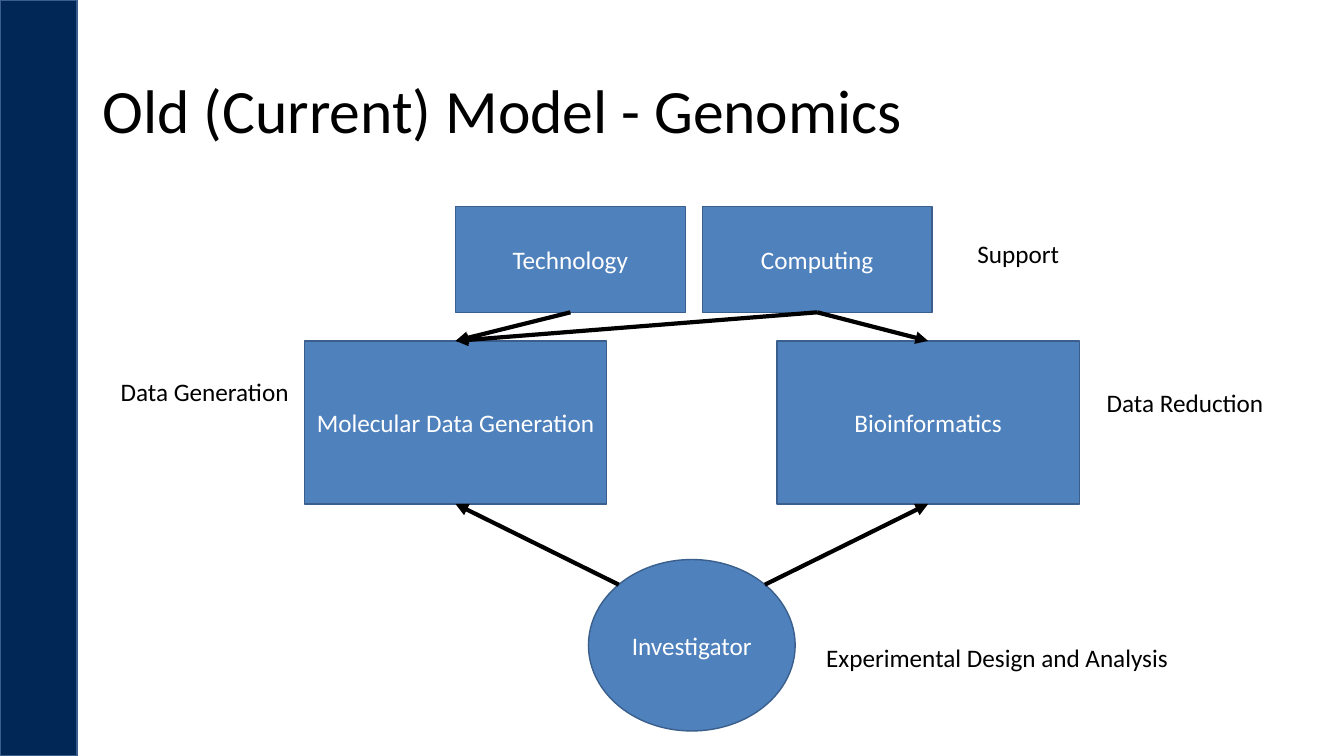
from math import cos, pi, sin

from lxml.etree import SubElement
from pptx import Presentation
from pptx.dml.color import RGBColor
from pptx.enum.shapes import MSO_CONNECTOR, MSO_SHAPE
from pptx.enum.text import MSO_ANCHOR, PP_ALIGN
from pptx.oxml.ns import qn
from pptx.util import Cm, Pt

NAVY = RGBColor(0x00, 0x27, 0x55)
BLUE = RGBColor(0x4F, 0x81, 0xBD)
OUTLINE = RGBColor(0x3A, 0x5F, 0x8C)
BLACK = RGBColor(0x00, 0x00, 0x00)
WHITE = RGBColor(0xFF, 0xFF, 0xFF)

TOP, BOTTOM = 0, 2


class DiagramSlide:
    font_name = "Calibri"
    text_size = 18
    title_size = 44

    def __init__(self, presentation):
        self.slide = presentation.slides.add_slide(presentation.slide_layouts[6])
        self.shapes = self.slide.shapes

    def set_text(self, shape, text, size, color, alignment):
        shape.text_frame.word_wrap = True
        paragraph = shape.text_frame.paragraphs[0]
        paragraph.text = text
        paragraph.alignment = alignment
        paragraph.font.name = self.font_name
        paragraph.font.size = Pt(size)
        paragraph.font.color.rgb = color
        return paragraph

    def node(self, left, top, width, height, text="", fill=BLUE, kind=MSO_SHAPE.RECTANGLE):
        shape = self.shapes.add_shape(kind, Cm(left), Cm(top), Cm(width), Cm(height))
        shape.shadow.inherit = False
        shape.fill.solid()
        shape.fill.fore_color.rgb = fill
        shape.line.color.rgb = OUTLINE
        shape.line.width = Pt(1)
        if text:
            shape.text_frame.vertical_anchor = MSO_ANCHOR.MIDDLE
            self.set_text(shape, text, self.text_size, WHITE, PP_ALIGN.CENTER)
        return shape

    def title(self, left, top, width, height, text):
        box = self.shapes.add_textbox(Cm(left), Cm(top), Cm(width), Cm(height))
        box.text_frame.vertical_anchor = MSO_ANCHOR.MIDDLE
        paragraph = self.set_text(box, text, self.title_size, BLACK, PP_ALIGN.LEFT)
        paragraph.line_spacing = 0.9

    def label(self, left, top, width, text):
        box = self.shapes.add_textbox(Cm(left), Cm(top), Cm(width), Cm(1.02))
        self.set_text(box, text, self.text_size, BLACK, PP_ALIGN.LEFT)

    def arrow(self, target, target_site, source=None, start=(0, 0)):
        connector = self.shapes.add_connector(MSO_CONNECTOR.STRAIGHT, *start, *start)
        if source is not None:
            connector.begin_connect(source, BOTTOM)
        connector.end_connect(target, target_site)
        connector.line.color.rgb = BLACK
        connector.line.width = Pt(3)
        properties = connector._element.spPr
        SubElement(properties.find(qn("a:ln")), qn("a:tailEnd"), type="triangle")
        SubElement(properties, qn("a:effectLst"))

    def arrow_from_ellipse(self, ellipse, angle, target):
        x = ellipse.left + ellipse.width / 2 * (1 + cos(angle))
        y = ellipse.top + ellipse.height / 2 * (1 - sin(angle))
        self.arrow(target, BOTTOM, start=(int(x), int(y)))


def main():
    presentation = Presentation()
    presentation.slide_width = Cm(33.87)
    presentation.slide_height = Cm(19.05)
    diagram = DiagramSlide(presentation)

    diagram.node(0, 0, 1.94, 19.05, fill=NAVY)
    diagram.title(2.34, 1.02, 29.21, 3.68, "Old (Current) Model - Genomics")

    investigator = diagram.node(14.83, 14.1, 5.21, 4.32, "Investigator", kind=MSO_SHAPE.OVAL)
    generation, bioinformatics = [
        diagram.node(left, 8.59, 7.62, 4.11, text)
        for left, text in ((7.67, "Molecular Data Generation"), (19.58, "Bioinformatics"))
    ]
    computing, technology = [
        diagram.node(left, 5.21, 5.79, 2.66, text)
        for left, text in ((17.7, "Computing"), (11.48, "Technology"))
    ]

    diagram.arrow_from_ellipse(investigator, pi / 4, bioinformatics)
    diagram.arrow_from_ellipse(investigator, 3 * pi / 4, generation)
    for source, target in (
        (computing, bioinformatics),
        (computing, generation),
        (technology, generation),
    ):
        diagram.arrow(target, TOP, source)

    for left, top, width, text in (
        (20.57, 16.05, 9.58, "Experimental Design and Analysis"),
        (27.64, 9.63, 4.7, "Data Reduction"),
        (2.79, 9.35, 5.38, "Data Generation"),
        (24.38, 5.87, 4.7, "Support"),
    ):
        diagram.label(left, top, width, text)

    presentation.save("out.pptx")


if __name__ == "__main__":
    main()
